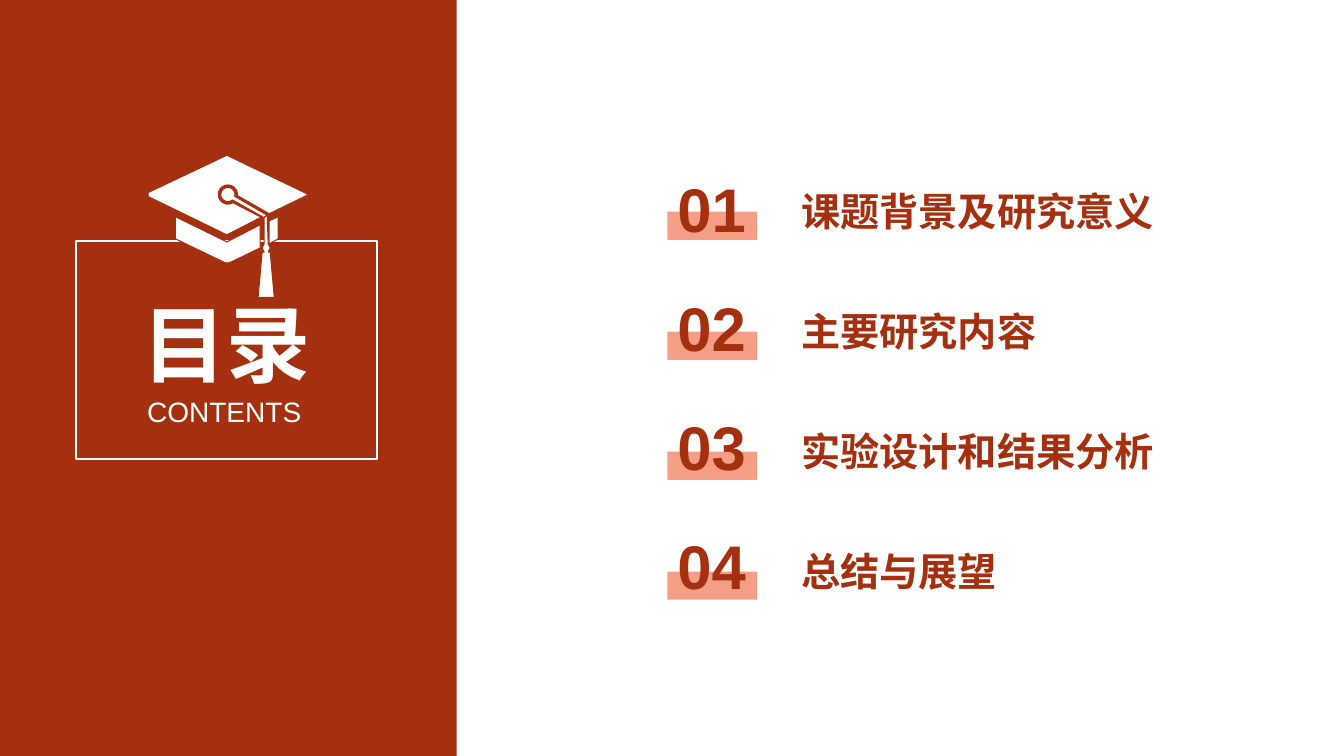
from math import cos, radians, sin

from pptx import Presentation
from pptx.dml.color import RGBColor
from pptx.enum.shapes import MSO_SHAPE
from pptx.enum.text import MSO_ANCHOR, MSO_AUTO_SIZE, PP_ALIGN
from pptx.util import Pt

PX = 9144  # EMU per px, 100 px to the inch
RECT = MSO_SHAPE.RECTANGLE
TOP = MSO_ANCHOR.TOP
GROW = MSO_AUTO_SIZE.SHAPE_TO_FIT_TEXT
LEFT, CENTER = PP_ALIGN.LEFT, PP_ALIGN.CENTER
COLORS = {"red": "A5300F", "salmon": "F49E86", "white": "FFFFFF"}
LATIN, CJK = "Arial", "Noto Sans CJK SC"

prs = Presentation()
prs.slide_width, prs.slide_height = 1333 * PX, 750 * PX
s = prs.slides.add_slide(prs.slide_layouts[5])


def paint(sp, fill=None, line=None, width=1.5):
    sp.shadow.inherit = False
    if fill:
        sp.fill.solid()
        sp.fill.fore_color.rgb = RGBColor.from_string(COLORS[fill])
    else:
        sp.fill.background()
    if line:
        sp.line.color.rgb = RGBColor.from_string(COLORS[line])
        sp.line.width = Pt(width)
    else:
        sp.line.fill.background()


def write(text, box, sp=None, size=28, font=CJK, color="red", bold=True,
          align=LEFT, wrap=False):
    x, y, w, h = (v * PX for v in box)
    sp = sp or s.shapes.add_textbox(x, y, w, h)
    sp.left, sp.top, sp.width, sp.height = x, y, w, h
    tf = sp.text_frame
    tf.word_wrap, tf.auto_size, tf.vertical_anchor = wrap, GROW, TOP
    p = tf.paragraphs[0]
    p.alignment = align
    r = p.add_run()
    r.text = text
    r.font.size, r.font.bold, r.font.name = Pt(size), bold, font
    r.font.color.rgb = RGBColor.from_string(COLORS[color])
    if font == CJK:
        ea = r.font._element.makeelement(
            "{http://schemas.openxmlformats.org/drawingml/2006/main}ea",
            {"typeface": font})
        r.font._element.append(ea)


# Left panel and frame
panel = s.shapes.add_shape(RECT, -5 * PX, 0, 458 * PX, 750 * PX)
paint(panel, fill="red")
frame = s.shapes.add_shape(RECT, 75 * PX, 239 * PX, 299 * PX, 216 * PX)
paint(frame, line="white")

# Title, raised above the panel
title = s.shapes.title
title.element.getparent().append(title.element)
write("目录", (62, 285, 325, 111), sp=title, size=60, color="white",
      align=CENTER, wrap=True)

# Graduation cap: the button and its gap are arcs around one centre
button, gap = (
    [(226 + radius * cos(radians(a)), 193 + radius * sin(radians(a)))
     for a in range(start, stop, step)]
    for radius, start, stop, step in ((7, 15, -311, -13), (9.5, 58, 367, 14)))
cap_parts = [
    [(267, 242), (276, 237), (276, 215), (267, 219)],
    [(174, 215), (174, 237), (222, 260), (225, 261), (229, 260), (258, 246),
     (258, 223), (225, 240)],
    [(265, 213), (264, 213), *button, (262, 216)],
    [(306, 193), (225, 154), (147, 191), (147, 195), (225, 233), (258, 216),
     (258, 215), *gap, (267, 212)],
    [(265, 213), (266, 242), (268, 246), (266, 250), (268, 250), (272, 295),
     (256, 295), (260, 250), (262, 250), (260, 246), (262, 242), (262, 216)],
]
outlines = [[(x * PX, y * PX) for x, y in part] for part in cap_parts]
cap = s.shapes.build_freeform(*outlines[0][0])
for outline in outlines:
    cap.move_to(*outline[0])
    cap.add_line_segments(outline[1:], close=True)
paint(cap.convert_to_shape(), fill="white", line="red", width=0.75)

write("CONTENTS", (136, 386, 175, 44), size=20, font=LATIN, color="white",
      bold=False)

# Contents entries
topics = ["课题背景及研究意义", "主要研究内容", "实验设计和结果分析", "总结与展望"]
for i, topic in enumerate(topics):
    bar = s.shapes.add_shape(RECT, 662 * PX, (210 + 119 * i) * PX,
                             89 * PX, 28 * PX)
    paint(bar, fill="salmon")
    write(f"{i + 1:02}", (662, 165 + 118 * i, 89, 84), size=44, font=LATIN)
    write(topic, (785, 181 + 119 * i, 22 + 39 * len(topic), 57))

prs.save("out.pptx")
